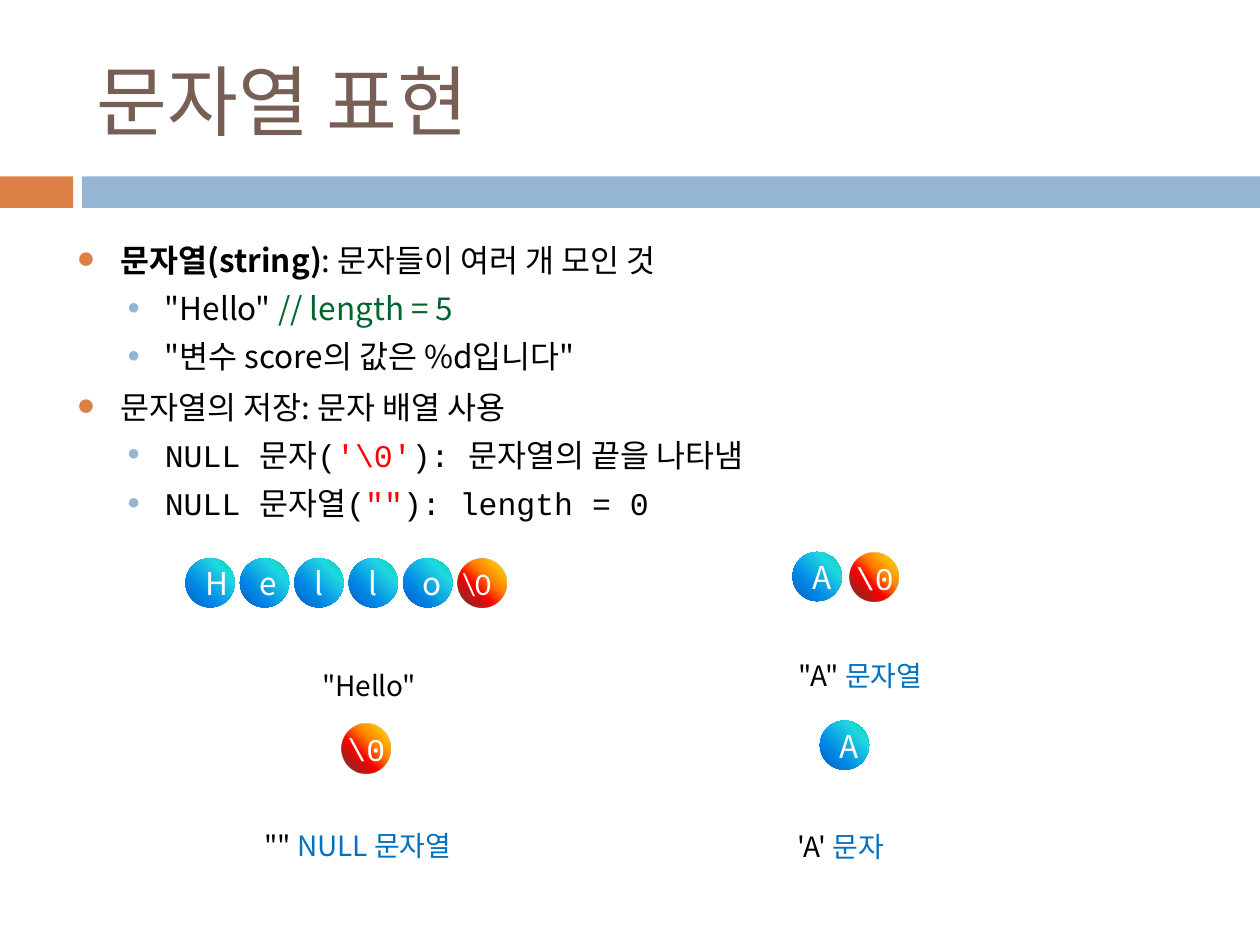
from lxml import etree
from pptx import Presentation
from pptx.dml.color import RGBColor
from pptx.enum.shapes import MSO_SHAPE as Shape
from pptx.enum.text import MSO_ANCHOR as Anchor, MSO_AUTO_SIZE as AutoSize, PP_ALIGN as Align
from pptx.oxml.ns import qn
from pptx.util import Pt

COLORS = {
    "title": "775F55", "orange": "DD8047", "blue": "94B6D2", "text": "000000",
    "comment": "00642D", "red": "FF0000", "label": "0070C0", "white": "FFFFFF",
}
SANS, LATIN, MONO = "Noto Sans CJK KR", "Calibri", "Courier New"
LETTER_STOPS = [(0, "03D4A8", 100), (25, "21D6E0", 100), (68, "0087E6", 100), (100, "005CBF", 100)]
END_STOPS = [(0, "FFF200", 100), (40, "FF7A00", 100), (60, "FF0300", 100), (100, "4D0808", 80)]
LINE_HEIGHT = 1.22
BALL = 28.1
BALL_STEP = 31.1


def rgb(name):
    return RGBColor.from_string(COLORS[name])


def add_element(parent, tag, **attributes):
    return etree.SubElement(parent, qn(tag), {key: str(value) for key, value in attributes.items()})


class SlideBuilder:
    def __init__(self, presentation):
        self.slide = presentation.slides.add_slide(presentation.slide_layouts[5])
        self.shapes = self.slide.shapes

    def start_group(self):
        """Put the elements that follow into a new group."""
        self.shapes = self.slide.shapes.add_group_shape().shapes

    def style(self, paragraph, size, font=SANS, color="text"):
        paragraph.font.size = Pt(size)
        paragraph.font.name = font
        paragraph.font.color.rgb = rgb(color)
        defaults = paragraph._p.pPr.find(qn("a:defRPr"))
        add_element(defaults, "a:ea", typeface=SANS)

    def add_runs(self, paragraph, runs, size, font=SANS, color="text"):
        """Fill a paragraph with (text, colour or None, bold) runs."""
        paragraph.line_spacing = Pt(round(size * LINE_HEIGHT, 1))
        self.style(paragraph, size, font, color)
        for text, run_color, bold in runs:
            run = paragraph.add_run()
            run.text = text
            if run_color:
                run.font.color.rgb = rgb(run_color)
            if bold:
                run.font.bold = True

    def title(self, text, left, top, width, height):
        shape = self.slide.shapes.title
        shape.left, shape.top, shape.width, shape.height = map(Pt, (left, top, width, height))
        frame = shape.text_frame
        frame.text = text
        frame.auto_size = AutoSize.NONE
        frame.vertical_anchor = Anchor.MIDDLE
        paragraph = frame.paragraphs[0]
        paragraph.alignment = Align.LEFT
        self.style(paragraph, 44, LATIN, "title")

    def bar(self, left, top, width, height, color):
        shape = self.shapes.add_shape(Shape.RECTANGLE, *map(Pt, (left, top, width, height)))
        shape.shadow.inherit = False
        shape.fill.solid()
        shape.fill.fore_color.rgb = rgb(color)
        shape.line.fill.background()

    def text_box(self, left, top, width, height):
        frame = self.shapes.add_textbox(*map(Pt, (left, top, width, height))).text_frame
        frame.word_wrap = True
        return frame

    def bullet(self, paragraph, level, is_first):
        color, percent, margin, indent, space = (
            ("orange", 100, 25.2, -25.2, 7), ("blue", 70, 50.4, -21.6, 5.5))[level]
        paragraph.level = level
        paragraph.space_before = Pt(0 if is_first else space)
        properties = paragraph._p.get_or_add_pPr()
        properties.set("marL", str(Pt(margin)))
        properties.set("indent", str(Pt(indent)))
        add_element(add_element(properties, "a:buClr"), "a:srgbClr", val=COLORS[color])
        add_element(properties, "a:buSzPct", val=percent * 1000)
        add_element(properties, "a:buFont", typeface=MONO)
        add_element(properties, "a:buChar", char="●")

    def bullet_list(self, left, top, width, height, items):
        frame = self.text_box(left, top, width, height)
        for index, (level, font, runs) in enumerate(items):
            paragraph = frame.add_paragraph() if index else frame.paragraphs[0]
            self.bullet(paragraph, level, index == 0)
            self.add_runs(paragraph, runs, 18, font)

    def caption(self, left, top, width, quoted, kind=""):
        paragraph = self.text_box(left, top, width, 26.6).paragraphs[0]
        paragraph.alignment = Align.CENTER
        runs = [(quoted, None, False)]
        if kind:
            runs.append((kind, "label", False))
        self.add_runs(paragraph, runs, 16)

    def ball(self, left, top, stops):
        shape = self.shapes.add_shape(Shape.OVAL, Pt(left), Pt(top), Pt(BALL), Pt(BALL))
        shape.shadow.inherit = False
        shape.line.fill.background()
        gradient = etree.Element(qn("a:gradFill"), rotWithShape="1")
        stop_list = add_element(gradient, "a:gsLst")
        for position, color, opacity in stops:
            stop = add_element(stop_list, "a:gs", pos=position * 1000)
            value = add_element(stop, "a:srgbClr", val=color)
            if opacity < 100:
                add_element(value, "a:alpha", val=opacity * 1000)
        circle = add_element(gradient, "a:path", path="circle")
        add_element(circle, "a:fillToRect", l=100000, b=100000)
        shape._element.spPr.find(qn("a:prstGeom")).addnext(gradient)
        return shape

    def letter(self, left, top, text):
        frame = self.ball(left, top, LETTER_STOPS).text_frame
        frame.vertical_anchor = Anchor.MIDDLE
        paragraph = frame.paragraphs[0]
        paragraph.alignment = Align.CENTER
        self.add_runs(paragraph, [(text, None, False)], 18, color="white")

    def terminator(self, left, top, font=MONO, align=Align.CENTER):
        self.ball(left, top, END_STOPS)
        paragraph = self.text_box(left - 4, top - 0.4, 36.7, 28.8).paragraphs[0]
        paragraph.alignment = align
        self.add_runs(paragraph, [("\\0", None, False)], 18, font, "white")


def main():
    presentation = Presentation()
    presentation.slide_width, presentation.slide_height = Pt(720), Pt(540)
    builder = SlideBuilder(presentation)

    builder.bar(0, 100.8, 41.8, 18, "orange")
    builder.bar(46.8, 100.8, 673.2, 18, "blue")
    builder.title("문자열 표현", 48.2, 18, 642.2, 77.8)
    builder.bullet_list(36.7, 133.9, 653.8, 326.9, [
        (0, SANS, [("문자열(string)", None, True), (": 문자들이 여러 개 모인 것", None, False)]),
        (1, SANS, [('"Hello" ', None, False), ("// length = 5", "comment", False)]),
        (1, SANS, [('"변수 score의 값은 %d입니다"', None, False)]),
        (0, SANS, [("문자열의 저장: 문자 배열 사용", None, False)]),
        (1, MONO, [("NULL 문자(", None, False), ("'\\0'", "red", False),
                   ("): 문자열의 끝을 나타냄", None, False)]),
        (1, MONO, [("NULL 문자열(", None, False), ('""', "red", False),
                   ("): length = 0", None, False)]),
    ])

    builder.start_group()
    builder.caption(112.3, 378, 197.3, '"Hello"')
    hello_left, hello_top = 106, 319
    for index, character in enumerate("Hello"):
        builder.letter(hello_left + index * BALL_STEP, hello_top, character)
    builder.terminator(hello_left + len("Hello") * BALL_STEP, hello_top, LATIN, Align.LEFT)

    builder.start_group()
    builder.caption(377.3, 470.2, 205.9, "'A' ", "문자")
    builder.letter(468.5, 411.8, "A")

    builder.start_group()
    builder.caption(388.8, 372.2, 205.9, '"A" ', "문자열")
    builder.letter(452.9, 315.4, "A")
    builder.terminator(485.5, 315.9)

    builder.start_group()
    builder.caption(101.5, 469.4, 205.9, '"" ', "NULL 문자열")
    builder.terminator(195, 413.7)

    presentation.save("out.pptx")


if __name__ == "__main__":
    main()
